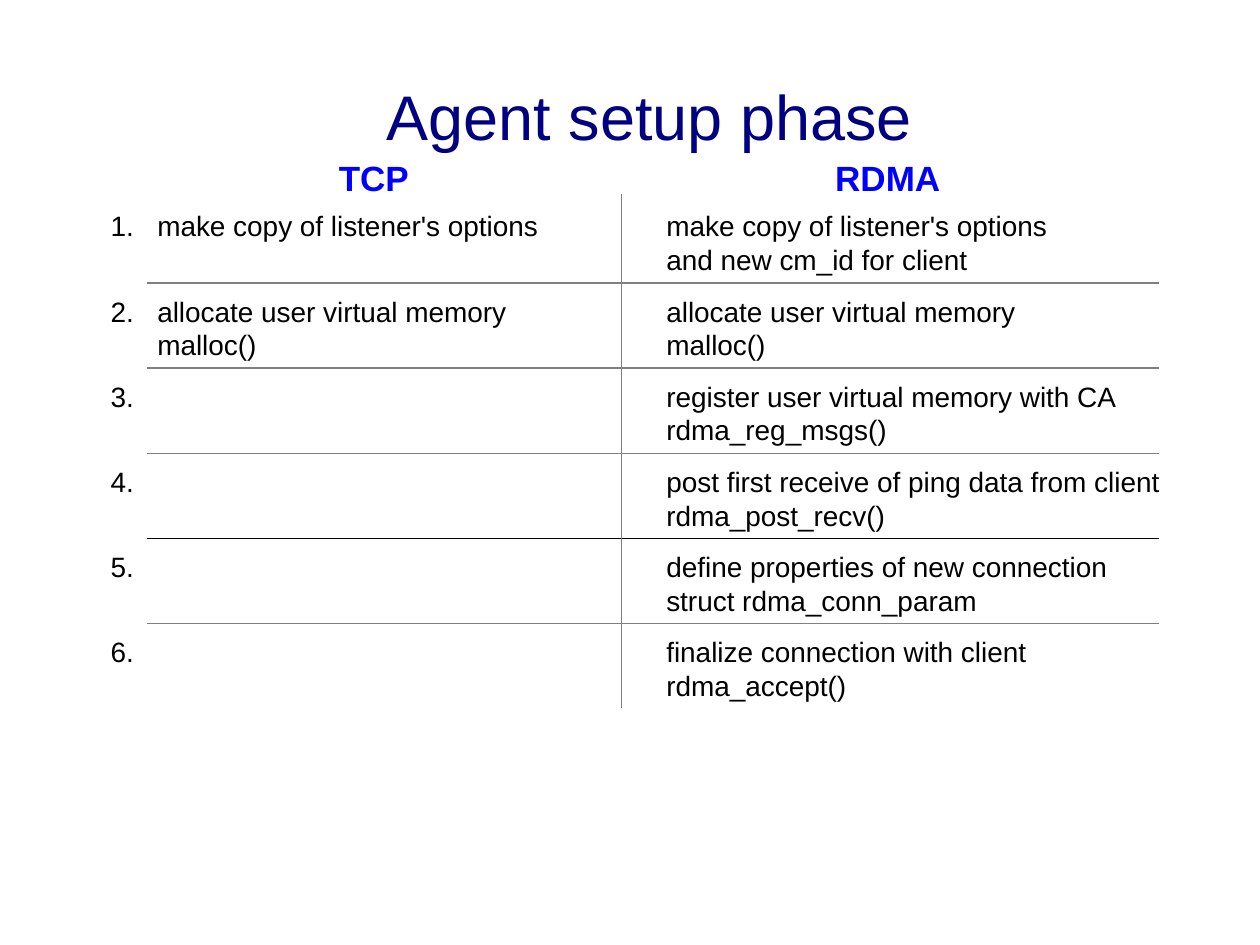
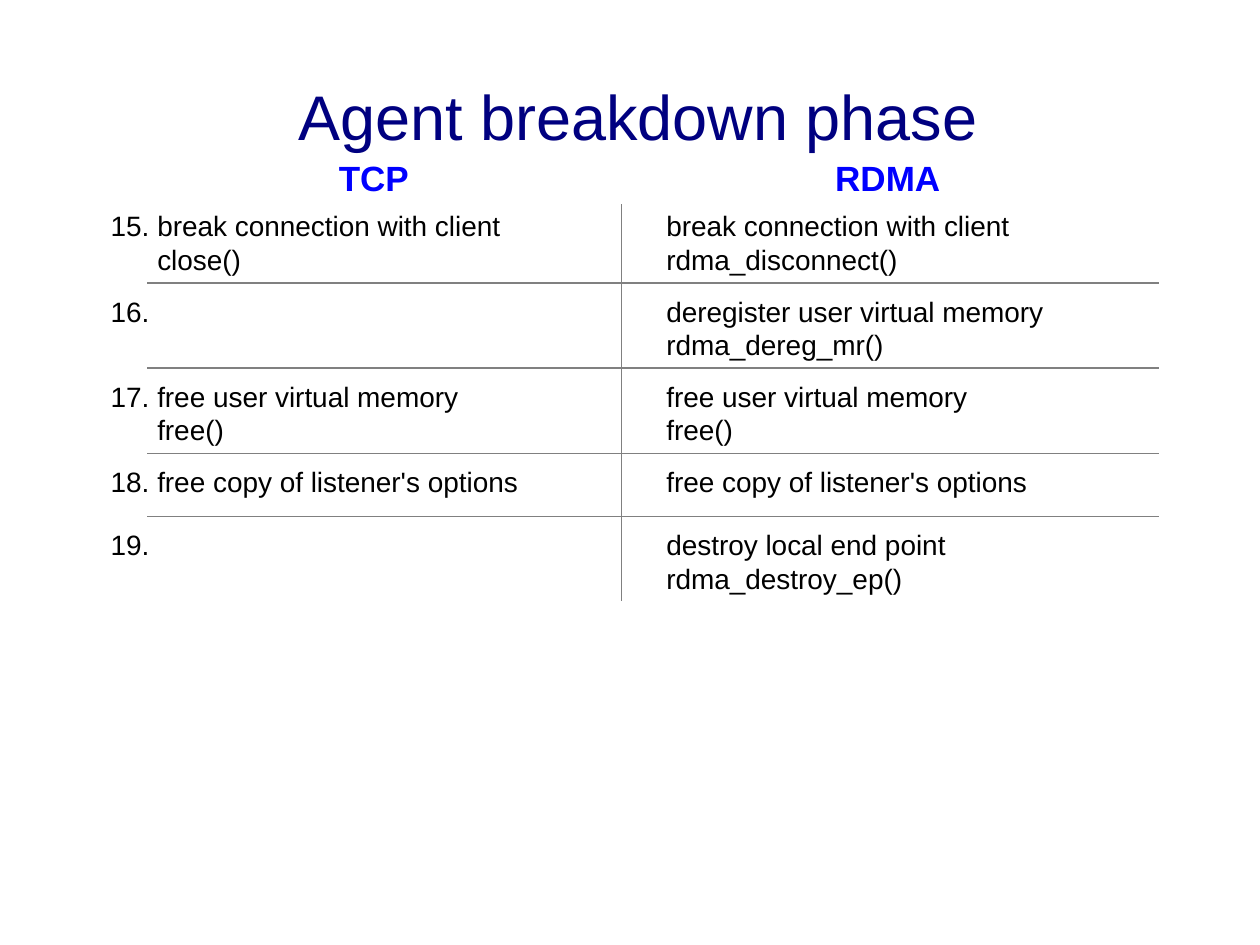
"""Build two slides comparing the TCP and RDMA steps of an agent, phase by phase."""
import pptx
import pptx.dml.color
import pptx.enum.shapes
import pptx.util
from lxml import etree
from pptx.oxml.ns import qn
from pptx.util import Inches

NAVY = pptx.dml.color.RGBColor(0x00, 0x00, 0x80)
BLUE = pptx.dml.color.RGBColor(0x00, 0x00, 0xFF)
BLACK = pptx.dml.color.RGBColor(0x00, 0x00, 0x00)
GRAY = pptx.dml.color.RGBColor(0x80, 0x80, 0x80)
FONT = "Arial"

TCP_LEFT, RDMA_LEFT, DIVIDER_X = 0.78, 5.19, 4.93
RULE_LEFT, RULE_RIGHT = 1.17, 9.2
FIRST_ROW_TOP = 1.61
ROW_PITCH = {1: 0.5, 2: 3.38 / 5}
TEXT_HEIGHT = {1: 0.36, 2: 0.63}
RULE_GAP = 0.04
NUMBER_INDENT = 0.37

PHASES = [
    {
        "title": "Agent setup phase",
        "title_left": 2.97,
        "title_width": 5.66,
        "divider_top": 1.54,
        "first_number": 1,
        "black_rule_above": 5,
        "steps": [
            (["make copy of listener's options"],
             ["make copy of listener's options", "and new cm_id for client"]),
            (["allocate user virtual memory", "malloc()"],
             ["allocate user virtual memory", "malloc()"]),
            ([], ["register user virtual memory with CA", "rdma_reg_msgs()"]),
            ([], ["post first receive of ping data from client", "rdma_post_recv()"]),
            ([], ["define properties of new connection", "struct rdma_conn_param"]),
            ([], ["finalize connection with client", "rdma_accept()"]),
        ],
    },
    {
        "title": "Agent breakdown phase",
        "title_left": 2.27,
        "title_width": 7.25,
        "divider_top": 1.62,
        "first_number": 15,
        "black_rule_above": None,
        "steps": [
            (["break connection with client", "close()"],
             ["break connection with client", "rdma_disconnect()"]),
            ([], ["deregister user virtual memory", "rdma_dereg_mr()"]),
            (["free user virtual memory", "free()"],
             ["free user virtual memory", "free()"]),
            (["free copy of listener's options"], ["free copy of listener's options"]),
            ([], ["destroy local end point", "rdma_destroy_ep()"]),
        ],
    },
]


def add_text(slide, lines, left, top, width, height, size, color, bold=False, indent=0):
    shape = slide.shapes.add_textbox(Inches(left), Inches(top), Inches(width), Inches(height))
    frame = shape.text_frame
    frame.word_wrap = True
    frame.text = "\n".join(lines)
    for index, paragraph in enumerate(frame.paragraphs):
        if indent:
            properties = paragraph._p.get_or_add_pPr()
            properties.set("marL", str(Inches(indent)))
            properties.set("indent", str(0 if index else -Inches(indent)))
        paragraph.font.name = FONT
        paragraph.font.size = pptx.util.Pt(size)
        paragraph.font.bold = bold
        paragraph.font.color.rgb = color


def add_line(slide, left, top, right, bottom, color=GRAY):
    connector = slide.shapes.add_connector(
        pptx.enum.shapes.MSO_CONNECTOR.STRAIGHT,
        Inches(left), Inches(top), Inches(right), Inches(bottom))
    connector.line.color.rgb = color
    connector.line.width = pptx.util.Pt(0.75)
    etree.SubElement(connector._element.spPr, qn("a:effectLst"))


presentation = pptx.Presentation()
presentation.slide_width = Inches(10)
presentation.slide_height = Inches(7.5)

for phase in PHASES:
    slide = presentation.slides.add_slide(presentation.slide_layouts[6])
    add_text(slide, [phase["title"]], phase["title_left"], 0.57, phase["title_width"], 0.7, 36, NAVY)
    add_text(slide, ["TCP"], 2.59, 1.19, 0.98, 0.43, 20, BLUE, bold=True)
    add_text(slide, ["RDMA"], 6.53, 1.19, 1.35, 0.43, 20, BLUE, bold=True)

    top = FIRST_ROW_TOP
    for number, (tcp_lines, rdma_lines) in enumerate(phase["steps"], phase["first_number"]):
        if number > phase["first_number"]:
            rule_color = BLACK if number == phase["black_rule_above"] else GRAY
            add_line(slide, RULE_LEFT, top - RULE_GAP, RULE_RIGHT, top - RULE_GAP, rule_color)
        numbered_lines = [f"{number}.\t{tcp_lines[0]}", *tcp_lines[1:]] if tcp_lines else [f"{number}."]
        add_text(slide, numbered_lines, TCP_LEFT, top, 4.1, TEXT_HEIGHT[len(numbered_lines)],
                 16, BLACK, indent=NUMBER_INDENT)
        add_text(slide, rdma_lines, RDMA_LEFT, top, 4.6, TEXT_HEIGHT[len(rdma_lines)], 16, BLACK)
        bottom = top + TEXT_HEIGHT[len(rdma_lines)]
        top += ROW_PITCH[len(rdma_lines)]
    add_line(slide, DIVIDER_X, phase["divider_top"], DIVIDER_X, bottom)

presentation.save("out.pptx")
